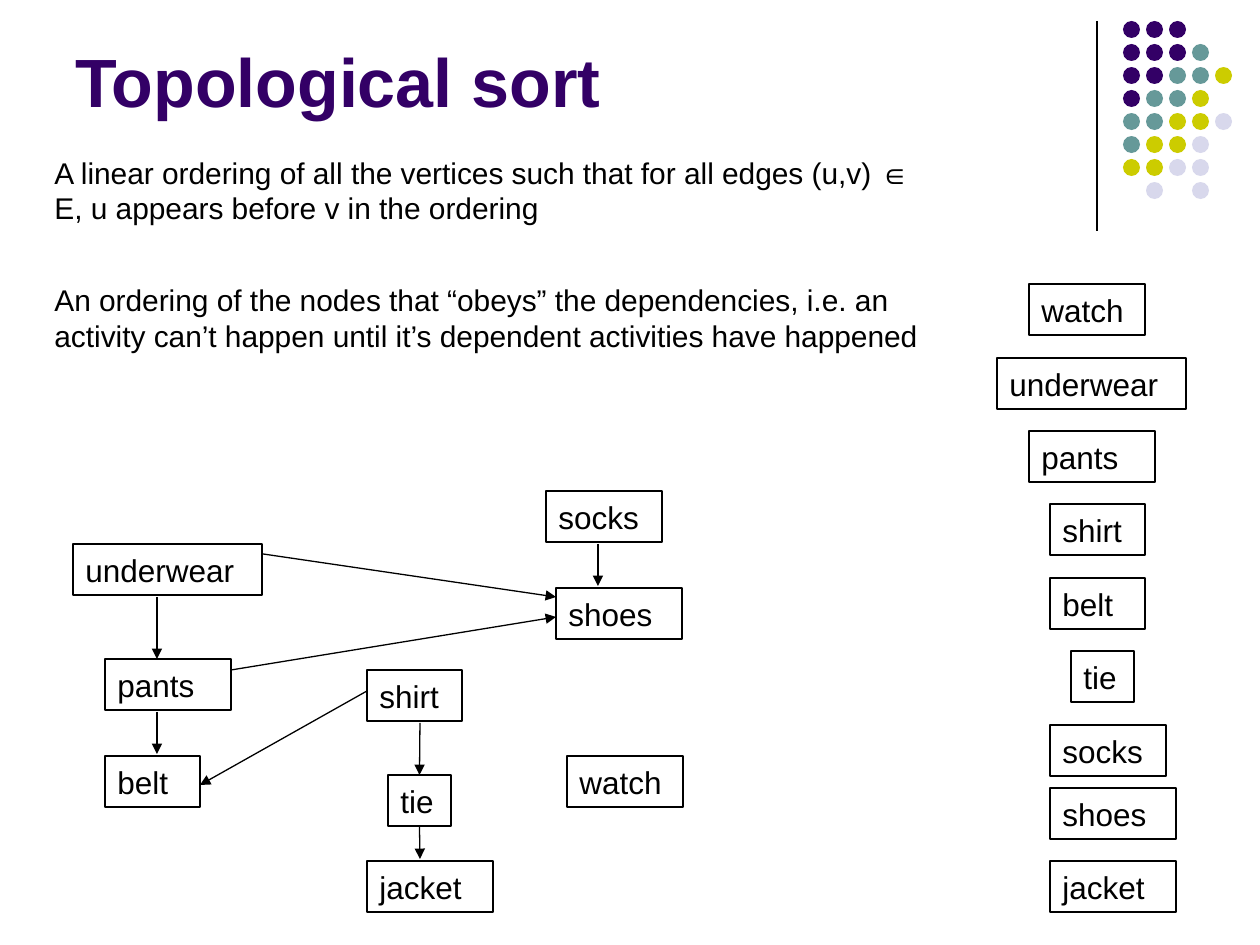
"""Build a slide on topological sort with a dependency graph and one valid ordering."""
from lxml import etree
from pptx import Presentation
from pptx.dml.color import RGBColor
from pptx.enum.shapes import MSO_CONNECTOR, MSO_SHAPE
from pptx.enum.text import MSO_ANCHOR, PP_ALIGN
from pptx.oxml.ns import qn
from pptx.util import Emu, Pt

STRAIGHT = MSO_CONNECTOR.STRAIGHT
OVAL, RECTANGLE = MSO_SHAPE.OVAL, MSO_SHAPE.RECTANGLE
TOP, MIDDLE, BOTTOM = MSO_ANCHOR.TOP, MSO_ANCHOR.MIDDLE, MSO_ANCHOR.BOTTOM
LEFT = PP_ALIGN.LEFT
PX = 914400 / 126
COLORS = {"ink": "000000", "purple": "330066", "teal": "669999",
          "olive": "CCCC00", "lavender": "D8D8EC"}


def write(shape, texts, size, color, anchor, bold=False, gap=0):
    frame = shape.text_frame
    frame.word_wrap = True
    frame.vertical_anchor = anchor
    for index, text in enumerate(texts):
        para = frame.add_paragraph() if index else frame.paragraphs[0]
        para.alignment = LEFT
        if index:
            para.space_before = Pt(gap)
        span = para.add_run()
        span.text = text
        span.font.name = "Arial"
        span.font.size = Pt(size)
        span.font.bold = bold
        span.font.color.rgb = RGBColor.from_string(COLORS[color])


def add_line(page, ends, arrow=False):
    line = page.shapes.add_connector(STRAIGHT, *[Emu(round(n * PX)) for n in ends])
    line.line.color.rgb = RGBColor.from_string(COLORS["ink"])
    line.line.width = Pt(0.75)
    if arrow:
        etree.SubElement(line.line._get_or_add_ln(), qn("a:tailEnd"), type="triangle")
    etree.SubElement(line._element.spPr, qn("a:effectLst"))
    return line


deck = Presentation()
deck.slide_width = Emu(round(1260 * PX))
deck.slide_height = Emu(round(945 * PX))
page = deck.slides.add_slide(deck.slide_layouts[6])

add_line(page, (1097, 21, 1097, 231))

dot_colors = {"P": "purple", "T": "teal", "O": "olive", "L": "lavender"}
dot_rows = ["PPP", "PPPT", "PPTTO", "PTTO", "TTOOL", "TOOL", "OOLL", ".L.L"]
for row, letters in enumerate(dot_rows):
    for column, letter in enumerate(letters):
        if letter in dot_colors:
            area = (1123 + 23 * column, 21 + 23 * row, 17, 17)
            dot = page.shapes.add_shape(OVAL, *[Emu(round(n * PX)) for n in area])
            dot.shadow.inherit = False
            dot.fill.solid()
            dot.fill.fore_color.rgb = RGBColor.from_string(COLORS[dot_colors[letter]])
            dot.line.fill.background()

title = page.shapes.add_textbox(*[Emu(round(n * PX)) for n in (63, 17, 1040, 110)])
write(title, ["Topological sort"], 39, "purple", BOTTOM, bold=True)

body = page.shapes.add_textbox(*[Emu(round(n * PX)) for n in (42, 148, 900, 267)])
write(body, [
    "A linear ordering of all the vertices such that for all edges (u,v) ∈ E, "
    "u appears before v in the ordering",
    "An ordering of the nodes that “obeys” the dependencies, i.e. an activity "
    "can’t happen until it’s dependent activities have happened",
], 17.1, "ink", TOP, gap=32)

widths = {"underwear": 189, "pants": 126, "belt": 95, "shirt": 95, "tie": 63,
          "jacket": 126, "socks": 116, "shoes": 126, "watch": 116}
graph = [("underwear", 73, 544), ("pants", 105, 659), ("belt", 105, 756),
         ("shirt", 367, 670), ("tie", 388, 775), ("jacket", 367, 861),
         ("socks", 546, 491), ("shoes", 556, 588), ("watch", 567, 756)]
ordering = [("watch", 1029, 284), ("underwear", 997, 358), ("pants", 1029, 431),
            ("shirt", 1050, 504), ("belt", 1050, 578), ("tie", 1071, 651),
            ("socks", 1050, 725), ("shoes", 1050, 788), ("jacket", 1050, 861)]
graph_boxes = {}
for group in (graph, ordering):
    for name, left, top in group:
        area = (left, top, widths[name], 51)
        box = page.shapes.add_shape(RECTANGLE, *[Emu(round(n * PX)) for n in area])
        box.shadow.inherit = False
        box.fill.background()
        box.line.color.rgb = RGBColor.from_string(COLORS["ink"])
        box.line.width = Pt(0.75)
        write(box, [name], 18, "ink", MIDDLE)
        if group is graph:
            graph_boxes[name] = box

edges = {
    ("underwear", "pants"): (157, 597, 157, 659),
    ("pants", "belt"): (157, 712, 157, 754),
    ("pants", "shoes"): (231, 670, 556, 617),
    ("socks", "shoes"): (598, 544, 598, 586),
    ("underwear", "shoes"): (263, 554, 556, 597),
    ("shirt", "belt"): (367, 691, 200, 785),
    ("shirt", "tie"): (420, 723, 420, 775),
    ("tie", "jacket"): (420, 827, 420, 859),
}
for (source, target), ends in edges.items():
    arrow = add_line(page, ends, arrow=True)
    if source == "tie":
        arrow.begin_connect(graph_boxes["tie"], 2)
    if target == "tie":
        arrow.end_connect(graph_boxes["tie"], 0)

deck.save("out.pptx")
